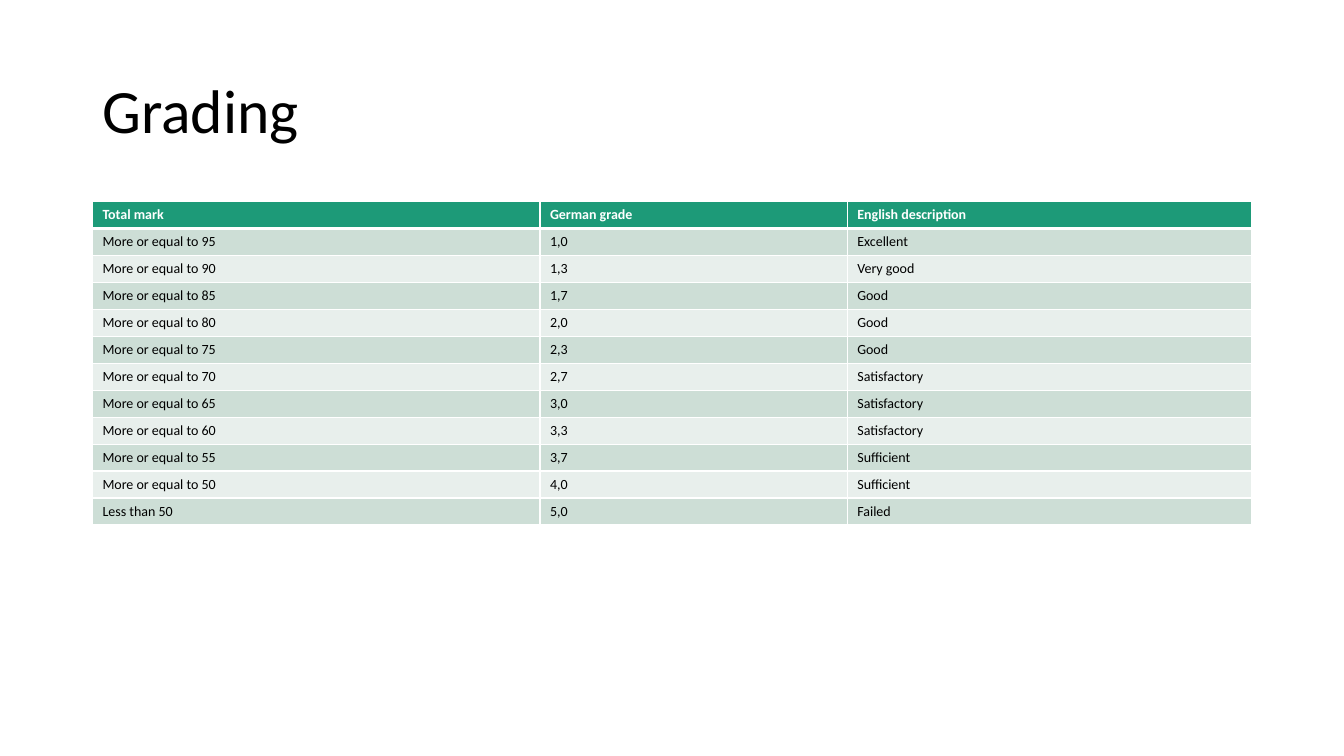
from dataclasses import dataclass

from lxml import etree
from pptx import Presentation
from pptx.dml.color import RGBColor
from pptx.enum.text import MSO_ANCHOR
from pptx.oxml.ns import qn
from pptx.util import Cm, Pt

MIDDLE = MSO_ANCHOR.MIDDLE


@dataclass(frozen=True)
class Theme:
    font: str = "Calibri"
    title_size: int = 44
    cell_size: int = 10
    text: str = "000000"
    white: str = "FFFFFF"
    header: str = "1D9A78"
    bands: tuple = ("CDDED6", "E8EFEC")
    border: int = 1
    header_border: int = 3


THEME = Theme()

HEADINGS = ("Total mark", "German grade", "English description")
GRADES = (
    ("More or equal to 95", "1,0", "Excellent"),
    ("More or equal to 90", "1,3", "Very good"),
    ("More or equal to 85", "1,7", "Good"),
    ("More or equal to 80", "2,0", "Good"),
    ("More or equal to 75", "2,3", "Good"),
    ("More or equal to 70", "2,7", "Satisfactory"),
    ("More or equal to 65", "3,0", "Satisfactory"),
    ("More or equal to 60", "3,3", "Satisfactory"),
    ("More or equal to 55", "3,7", "Sufficient"),
    ("More or equal to 50", "4,0", "Sufficient"),
    ("Less than 50", "5,0", "Failed"),
)
COLUMN_SHARES = (4.44, 3.05, 4.01)


def write(p, text, size, color, bold=False):
    r = p.add_run()
    r.text = text
    for name, value in {"name": THEME.font, "size": Pt(size), "bold": bold}.items():
        setattr(r.font, name, value)
    r.font.color.rgb = RGBColor.from_string(color)


def set_borders(cell, widths):
    """Draw white cell borders; widths maps each side to points."""
    tc_pr = cell._tc.get_or_add_tcPr()
    for side, width in widths.items():
        ln = etree.SubElement(tc_pr, qn(f"a:ln{side}"), w=str(Pt(width)))
        fill = etree.SubElement(ln, qn("a:solidFill"))
        etree.SubElement(fill, qn("a:srgbClr"), val=THEME.white)


def add_title(s, text, left, top, width, height):
    tf = s.shapes.add_textbox(left, top, width, height).text_frame
    for name, value in {"word_wrap": True, "vertical_anchor": MIDDLE}.items():
        setattr(tf, name, value)
    p = tf.paragraphs[0]
    p.line_spacing = 0.9
    write(p, text, THEME.title_size, THEME.text)


def add_grade_table(s, left, top, width, height):
    rows = (HEADINGS, *GRADES)
    table = s.shapes.add_table(len(rows), len(HEADINGS), left, top, width, height).table

    # Column widths and equal row heights
    for column, share in zip(table.columns, COLUMN_SHARES):
        column.width = int(width * share / sum(COLUMN_SHARES))
    for row in table.rows:
        row.height = int(height / len(rows))

    # Header row, then alternating bands
    for i, texts in enumerate(rows):
        is_header = i == 0
        fill = THEME.header if is_header else THEME.bands[(i - 1) % 2]
        color = THEME.white if is_header else THEME.text
        widths = dict.fromkeys("LRTB", THEME.border)
        if i < 2:
            widths["B" if is_header else "T"] = THEME.header_border
        for j, text in enumerate(texts):
            cell = table.cell(i, j)
            set_borders(cell, widths)
            cell.fill.solid()
            cell.fill.fore_color.rgb = RGBColor.from_string(fill)
            write(cell.text_frame.paragraphs[0], text, THEME.cell_size, color, is_header)


def main():
    prs = Presentation()
    prs.slide_width, prs.slide_height = Cm(33.87), Cm(19.05)
    s = prs.slides.add_slide(prs.slide_layouts[6])
    left, width = Cm(2.33), Cm(29.21)
    add_title(s, "Grading", left, Cm(1.01), width, Cm(3.68))
    add_grade_table(s, left, Cm(5.08), width, Cm(8.13))
    prs.save("out.pptx")


if __name__ == "__main__":
    main()
